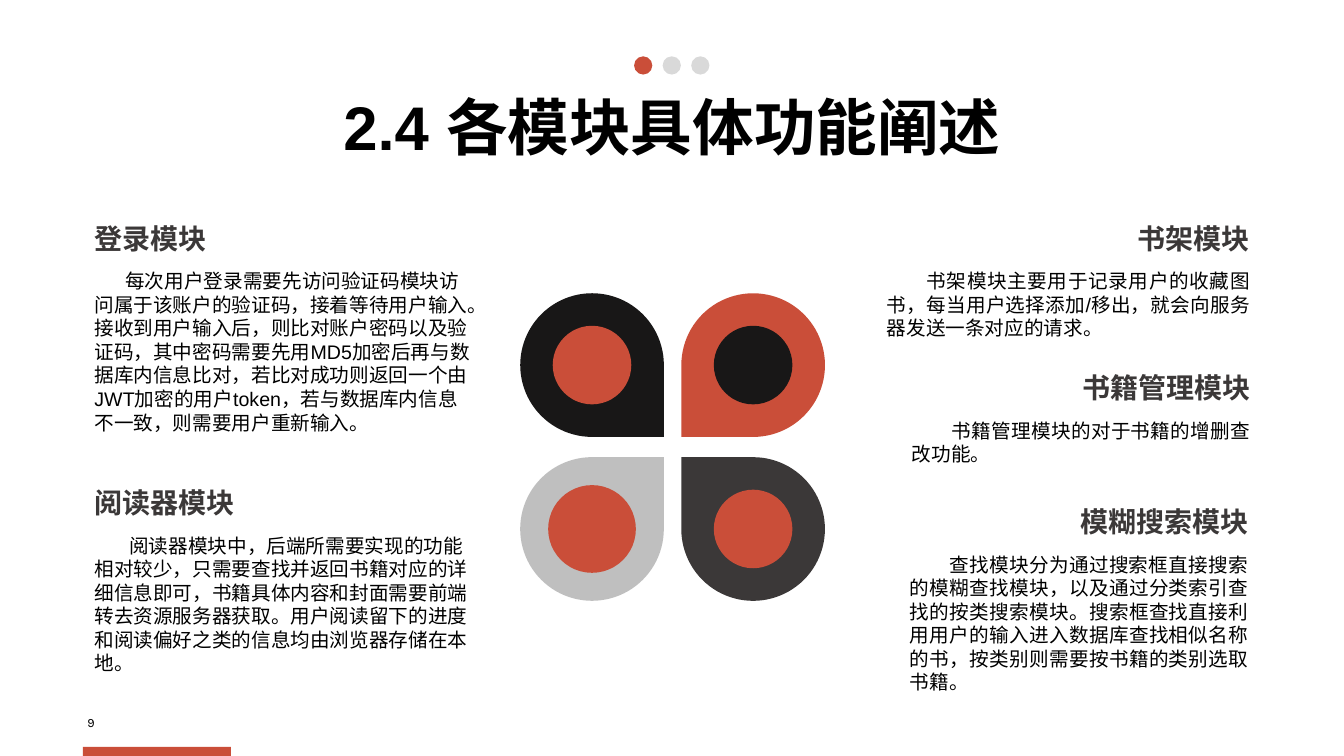
from pptx import Presentation
from pptx.dml.color import RGBColor
from pptx.enum.shapes import MSO_SHAPE as Shape
from pptx.enum.text import MSO_AUTO_SIZE as AutoSize, PP_ALIGN as Align
from pptx.util import Cm, Pt

RED, BLACK, INK = "CA4E39", "181717", "3B3838"
GREY, PALE = "BFBFBF", "D9D9D9"


def color(value):
    return RGBColor.from_string(value)


class SlideBuilder:
    font = "Arial"

    def __init__(self, page):
        self.page = page

    def shape(self, kind, left, top, width, height, fill, rotation=0):
        item = self.page.shapes.add_shape(kind, Cm(left), Cm(top), Cm(width), Cm(height))
        item.shadow.inherit = False
        item.fill.solid()
        item.fill.fore_color.rgb = color(fill)
        item.line.fill.background()
        item.rotation = rotation

    def circle(self, center_x, center_y, size, fill):
        self.shape(Shape.OVAL, center_x - size / 2, center_y - size / 2, size, size, fill)

    def box(self, left, top, width, height, wrap=True):
        frame = self.page.shapes.add_textbox(Cm(left), Cm(top), Cm(width), Cm(height)).text_frame
        frame.word_wrap = wrap
        frame.auto_size = AutoSize.NONE
        return frame

    def label(self, para, text, size, align, bold=False, fill="000000", font=None):
        para.text = text
        para.alignment = align
        para.font.size = Pt(size)
        para.font.bold = bold
        para.font.name = font or self.font
        para.font.color.rgb = color(fill)

    def module(self, left, top, width, height, indent, aligns, heading, body):
        frame = self.box(left, top, width, height)
        self.label(frame.paragraphs[0], heading, 20, aligns[0], True, INK)
        para = frame.add_paragraph()
        self.label(para, body, 14, aligns[1])
        para.space_before = Pt(10)
        para._p.get_or_add_pPr().set("indent", str(Cm(indent)))


LEFT = (Align.LEFT, Align.LEFT)
RIGHT = (Align.RIGHT, Align.JUSTIFY)
MODULES = [
    (2.13, 5.46, 10.13, 6.05, 0.78, LEFT, "登录模块",
     "每次用户登录需要先访问验证码模块访问属于该账户的验证码，接着等待用户输入。"
     "接收到用户输入后，则比对账户密码以及验证码，其中密码需要先用MD5加密后再与"
     "数据库内信息比对，若比对成功则返回一个由JWT加密的用户token，若与数据库内"
     "信息不一致，则需要用户重新输入。"),
    (2.13, 12.12, 10.13, 5.31, 0.88, LEFT, "阅读器模块",
     "阅读器模块中，后端所需要实现的功能相对较少，只需要查找并返回书籍对应的详"
     "细信息即可，书籍具体内容和封面需要前端转去资源服务器获取。用户阅读留下的进度"
     "和阅读偏好之类的信息均由浏览器存储在本地。"),
    (22.1, 5.46, 9.65, 4.37, 1, RIGHT, "书架模块",
     "书架模块主要用于记录用户的收藏图书，每当用户选择添加/移出，就会向服"
     "务器发送一条对应的请求。"),
    (22.73, 9.22, 9.04, 2.92, 1, RIGHT, "书籍管理模块",
     "书籍管理模块的对于书籍的增删查改功能。"),
    (22.68, 12.6, 9.04, 4.37, 1, RIGHT, "模糊搜索模块",
     "查找模块分为通过搜索框直接搜索的模糊查找模块，以及通过分类索引查"
     "找的按类搜索模块。搜索框查找直接利用用户的输入进入数据库查找相似名称"
     "的书，按类别则需要按书籍的类别选取书籍。"),
]
PETAL = 3.62
PETALS = [
    (13.11, 7.39, 90, BLACK, RED, 1.98),
    (17.17, 7.39, 180, RED, BLACK, 1.98),
    (13.11, 11.52, 0, GREY, RED, 2.21),
    (17.17, 11.52, 270, INK, RED, 1.98),
]


def main():
    deck = Presentation()
    deck.slide_width, deck.slide_height = Cm(33.87), Cm(19.05)
    slide = SlideBuilder(deck.slides.add_slide(deck.slide_layouts[6]))

    number = slide.box(1.85, 17.88, 0.89, 0.64, wrap=False)
    slide.label(number.paragraphs[0], "9", 9, Align.CENTER, font="Karla")
    slide.shape(Shape.RECTANGLE, 2.09, 18.82, 3.73, 0.23, RED)

    title = slide.box(6.6, 2.11, 20.68, 2.13)
    slide.label(title.paragraphs[0], "2.4 各模块具体功能阐述", 44, Align.CENTER, True)
    for index, fill in enumerate((RED, PALE, PALE)):
        slide.circle(16.21 + 0.72 * index, 1.65, 0.46, fill)

    for left, top, rotation, fill, core, size in PETALS:
        slide.shape(Shape.TEAR, left, top, PETAL, PETAL, fill, rotation)
        slide.circle(left + PETAL / 2, top + PETAL / 2, size, core)
    for module in MODULES:
        slide.module(*module)

    deck.save("out.pptx")


if __name__ == "__main__":
    main()
